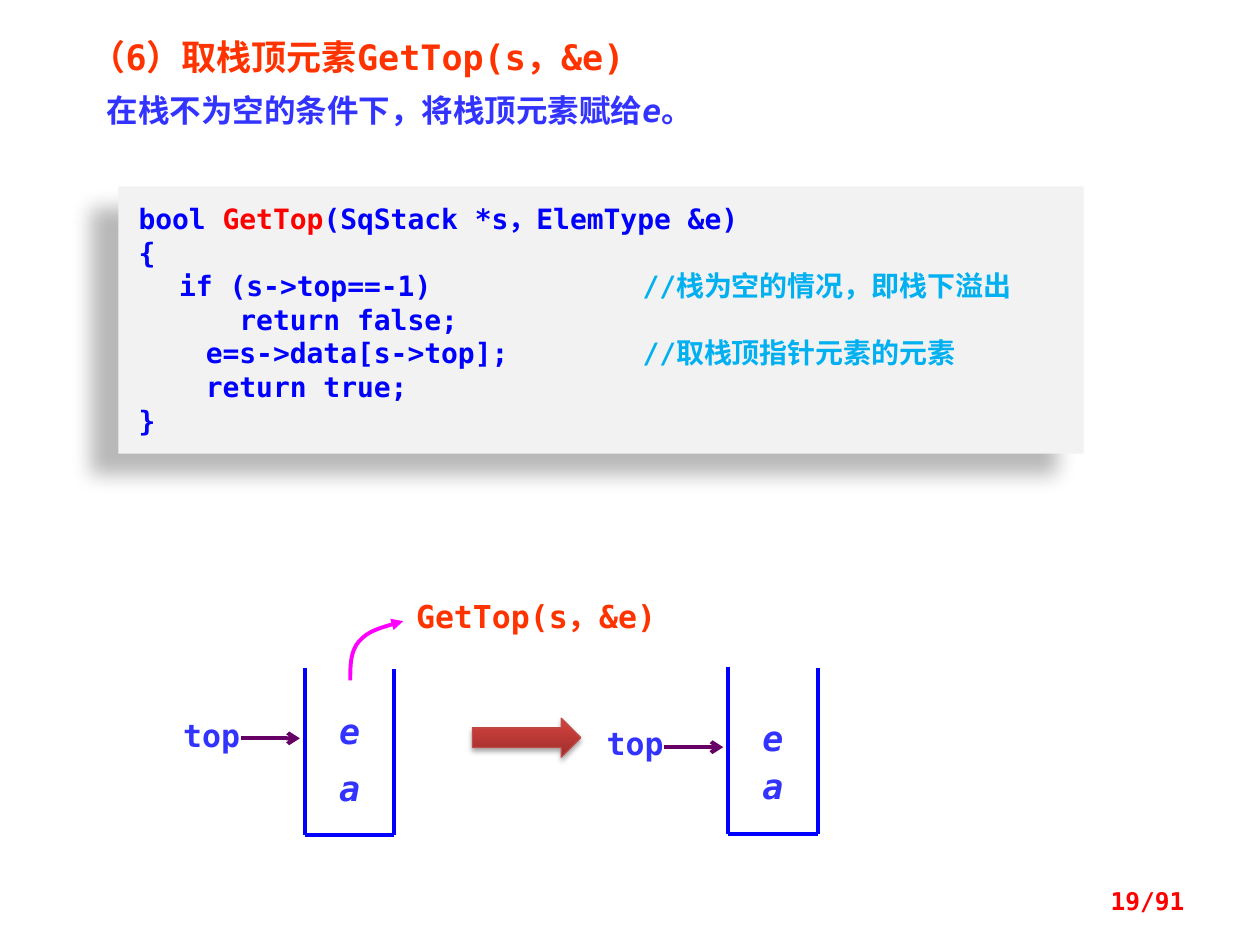
from lxml.etree import SubElement
from pptx import Presentation
from pptx.dml.color import RGBColor
from pptx.enum.shapes import MSO_CONNECTOR as Link, MSO_SHAPE as Form
from pptx.enum.text import MSO_ANCHOR as Anchor, PP_ALIGN as Align
from pptx.oxml.ns import qn
from pptx.util import Pt

PX = 9144
FONT = "DejaVu Sans Mono"
BLUE, INK, RED, ORANGE = "0000FF", "3333FF", "FF0000", "FF3300"
SKY, PLUM, PINK = "00B0F0", "660066", "FF00FF"
TAB = 400

CODE = [
    [("bool ", BLUE), ("GetTop", RED), ("(SqStack *s，ElemType &e)", BLUE)],
    [("{", BLUE)],
    [("　  if (s->top==-1)\t", BLUE), ("//栈为空的情况，即栈下溢出", SKY)],
    [("      return false;", BLUE)],
    [("    e=s->data[s->top];\t", BLUE), ("//取栈顶指针元素的元素", SKY)],
    [("    return true;", BLUE)],
    [("}", BLUE)],
]


def px(*nums):
    return [n * PX for n in nums]


def color(code):
    return RGBColor.from_string(code)


def style(par, size, code, align=Align.LEFT, slant=None):
    par.alignment = align
    font = par.font
    font.name, font.size, font.bold, font.italic = FONT, Pt(size), True, slant
    font.color.rgb = color(code)


def frame(shape, pad=(10, 5)):
    body = shape.text_frame
    body.word_wrap = True
    body.margin_left = body.margin_right = pad[0] * PX
    body.margin_top = body.margin_bottom = pad[1] * PX
    return body


def label(slide, box, text, size, code, align=Align.CENTER, pad=(0, 0), slant=None):
    body = frame(slide.shapes.add_textbox(*px(*box)), pad)
    par = body.paragraphs[0]
    par.text = text
    style(par, size, code, align, slant)
    return body


def shade(shape, alpha, blur, dist, angle):
    shape.shadow.inherit = False
    effects = shape._element.spPr.find(qn("a:effectLst"))
    outer = SubElement(effects, qn("a:outerShdw"), blurRad=str(Pt(blur)),
                       dist=str(Pt(dist)), dir=str(angle * 60000), rotWithShape="0")
    black = SubElement(outer, qn("a:srgbClr"), val="000000")
    SubElement(black, qn("a:alpha"), val=str(alpha * 1000))


def stroke(shape, code, end=None, kind=None):
    shape.line.color.rgb = color(code)
    shape.line.width = Pt(2.25)
    if end:
        SubElement(shape.line._get_or_add_ln(), qn(end), type=kind)


def line(slide, ends, code, end=None, kind=None):
    link = slide.shapes.add_connector(Link.STRAIGHT, *px(*ends))
    stroke(link, code, end, kind)
    SubElement(link._element.spPr, qn("a:effectLst"))


def curve(slide, start, points):
    pen = slide.shapes.build_freeform(*start, scale=PX)
    pen.add_line_segments(points, close=False)
    shape = pen.convert_to_shape()
    shape.fill.background()
    shape.shadow.inherit = False
    stroke(shape, PINK, "a:headEnd", "triangle")
    steps = list(shape._element.iter(qn("a:lnTo")))
    route = steps[0].getparent()
    for i in range(0, len(steps), 3):
        bend = SubElement(route, qn("a:cubicBezTo"))
        for step in steps[i:i + 3]:
            bend.append(step[0])
            route.remove(step)


def head(slide):
    body = label(slide, (62, 23, 908, 89), "（6）取栈顶元素GetTop(s，&e)",
                 20, ORANGE, Align.JUSTIFY, (10, 5))
    par = body.add_paragraph()
    par._p.get_or_add_pPr().set("marL", str(13 * PX))
    par.line_spacing = 1.1
    par.space_before = Pt(6)
    for text, slant in (("在栈不为空的条件下，将栈顶元素赋给", False), ("e", True), ("。", False)):
        run = par.add_run()
        run.text = text
        run.font.italic = slant
    style(par, 18, INK, Align.JUSTIFY)


def code_box(slide):
    box = slide.shapes.add_shape(Form.RECTANGLE, *px(94, 148, 766, 212))
    box.fill.solid()
    box.fill.fore_color.rgb = color("F2F2F2")
    box.line.fill.background()
    shade(box, 28, 11.8, 19.7, 141)
    body = frame(box, (16, 12))
    body.vertical_anchor = Anchor.TOP
    for i, parts in enumerate(CODE):
        par = body.add_paragraph() if i else body.paragraphs[0]
        tabs = SubElement(par._p.get_or_add_pPr(), qn("a:tabLst"))
        SubElement(tabs, qn("a:tab"), pos=str(TAB * PX), algn="l")
        for text, code in parts:
            run = par.add_run()
            run.text = text
            if code != BLUE:
                run.font.color.rgb = color(code)
        style(par, 16, BLUE)


def stack(slide, x, y, mark, cells):
    right, base = x + 71, y + 133
    for ends in ((x, y, x, base), (x, base, right, base), (right, y + 1, right, base)):
        line(slide, ends, BLUE)
    for text, top in cells:
        label(slide, (x + 4, top, 63, 34), text, 20, INK, slant=True)
    line(slide, (x - 51, mark, x - 4, mark), PLUM, "a:tailEnd", "arrow")
    label(slide, (x - 121, mark - 18, 94, 30), "top", 18, INK)


def arrow(slide):
    shape = slide.shapes.add_shape(Form.RIGHT_ARROW, *px(375, 570, 86, 31))
    shape.fill.gradient()
    shape.fill.gradient_angle = 90
    for stop, place, code in zip(shape.fill.gradient_stops, (0, 0.8), ("9C2F2D", "CB3E3A")):
        stop.position = place
        stop.color.rgb = color(code)
    shape.line.color.rgb = color("BF4C48")
    shape.line.width = Pt(0.75)
    shade(shape, 35, 3.1, 1.8, 90)


def main():
    deck = Presentation()
    deck.slide_width, deck.slide_height = px(1000, 750)
    slide = deck.slides.add_slide(deck.slide_layouts[6])
    head(slide)
    code_box(slide)
    curve(slide, (320, 493), [(306, 497), (292, 501), (285, 509),
                              (278, 517), (278, 528), (278, 540)])
    stack(slide, 242, 530, 586, (("e", 563), ("a", 608)))
    label(slide, (312, 469, 227, 40), "GetTop(s，&e)", 18, ORANGE, pad=(10, 5))
    arrow(slide)
    stack(slide, 578, 529, 593, (("e", 569), ("a", 607)))
    page = label(slide, (717, 695, 233, 40), "19/91", 14, RED, Align.RIGHT, (10, 5))
    page.vertical_anchor = Anchor.MIDDLE
    deck.save("out.pptx")


if __name__ == "__main__":
    main()
